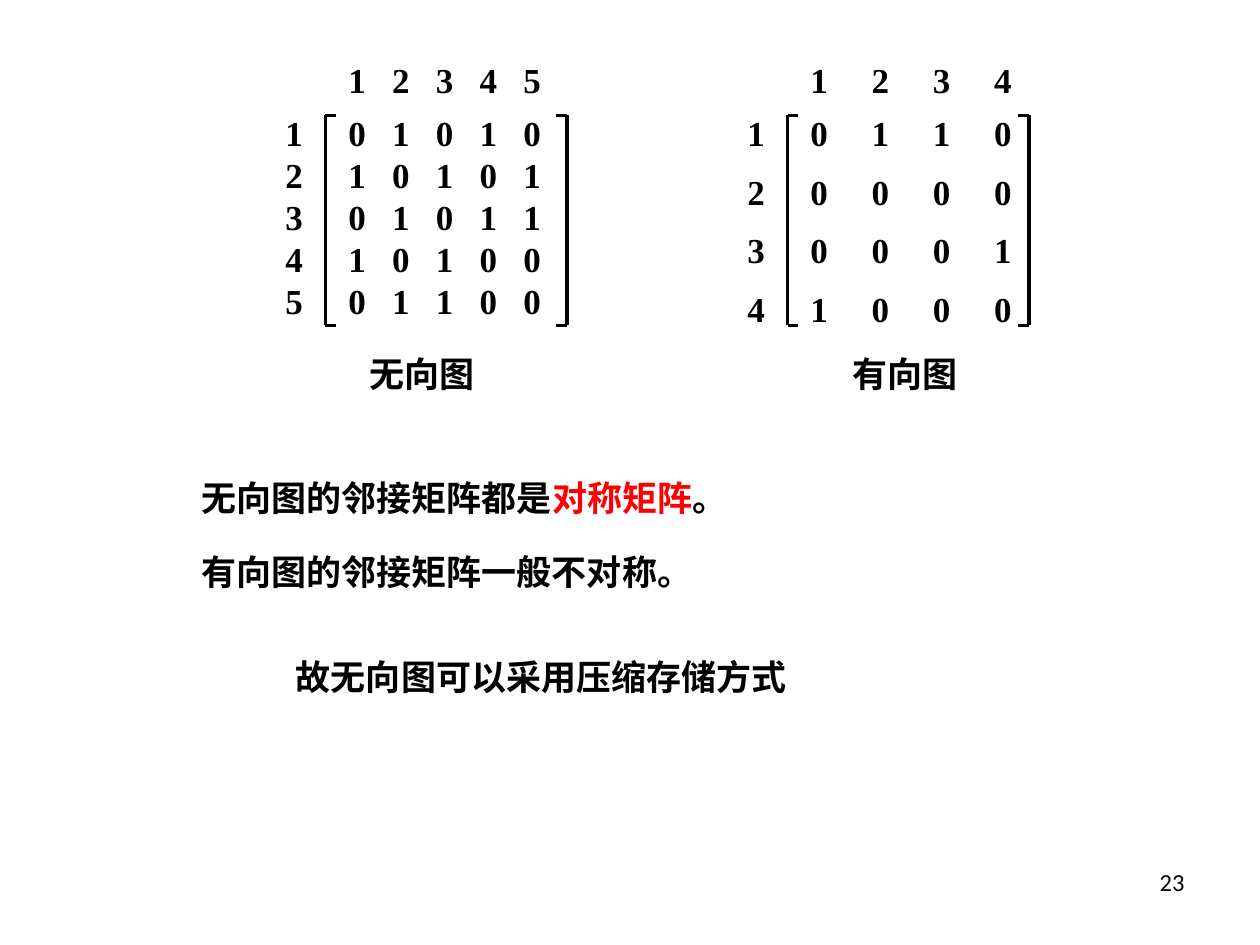
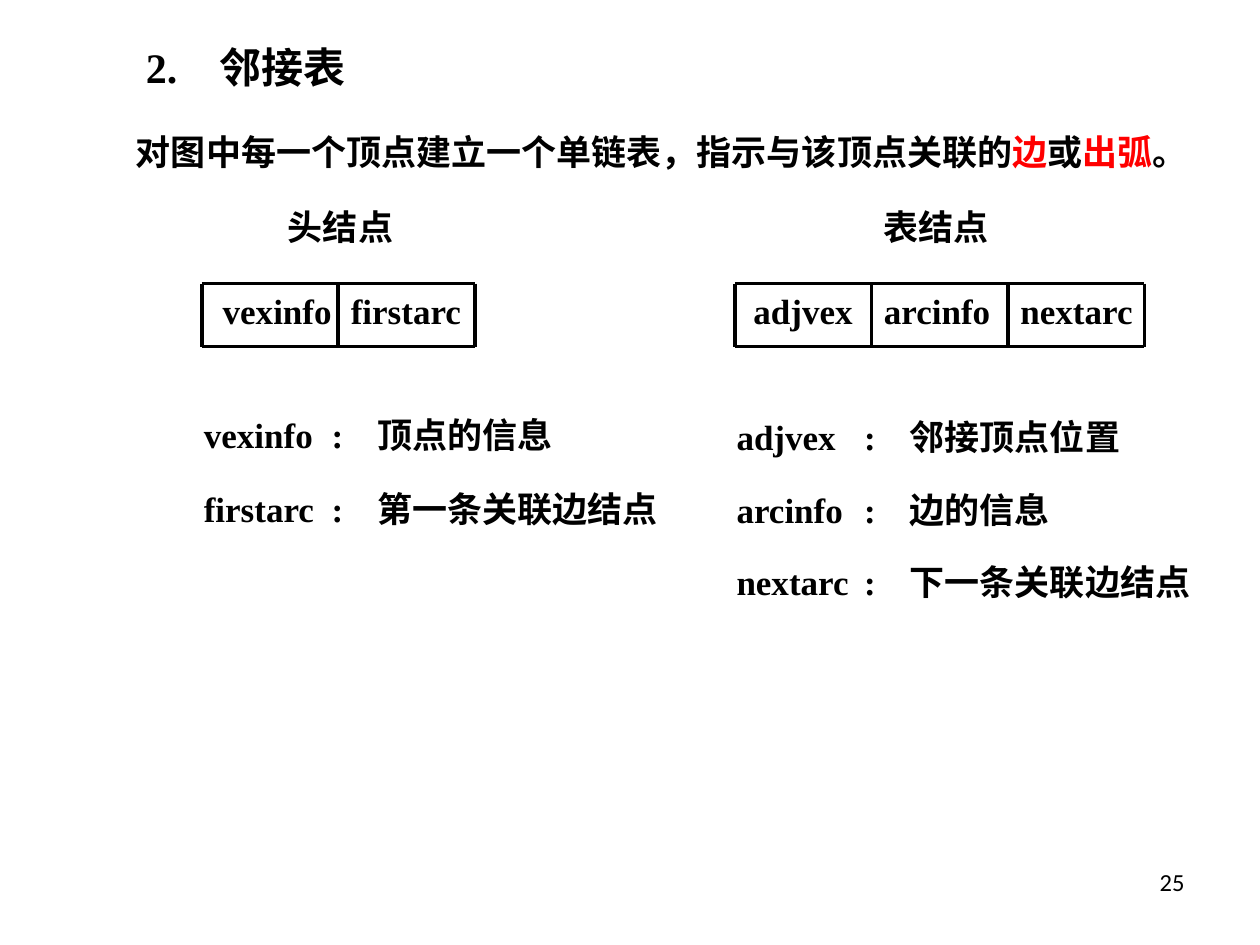
from dataclasses import dataclass
from typing import Any, Sequence

from lxml import etree
from pptx import Presentation
from pptx.dml.color import RGBColor
from pptx.enum import text as t
from pptx.oxml import ns
from pptx.util import Pt


@dataclass(frozen=True)
class Theme:
    ink: RGBColor = RGBColor(0, 0, 0)
    accent: RGBColor = RGBColor(255, 0, 0)
    body_font: str = "Times New Roman"
    number_font: str = "Calibri"
    title_size: float = 24
    body_size: float = 20
    number_size: float = 14
    line_width: float = 2.25
    box_height: float = 31.5


THEME = Theme()
BODY = {"name": THEME.body_font, "size": Pt(THEME.body_size), "bold": True}
TITLE = {**BODY, "size": Pt(THEME.title_size)}
NUMBER = {"name": THEME.number_font, "size": Pt(THEME.number_size), "bold": False}


@dataclass(frozen=True)
class Segment:
    text: str
    color: RGBColor = THEME.ink


@dataclass(frozen=True)
class Matrix:
    left: float
    row_pitch: float
    column_pitch: float
    rows: Sequence[str]
    caption: str
    caption_left: float


@dataclass(frozen=True)
class NodeRecord:
    left: float
    first_inset: float
    fields: Sequence[str]
    heading: str
    heading_left: float


@dataclass(frozen=True)
class Definitions:
    left: float
    top: float
    pitch: float
    width: float
    entries: Sequence[tuple[str, str]]


def add_text(shapes: Any, left: float, top: float, width: float,
             content: str | Sequence[Segment], style: dict[str, Any] = BODY,
             tabs: Sequence[float] = (), align: Any = t.PP_ALIGN.LEFT) -> None:
    box = shapes.add_textbox(Pt(left), Pt(top), Pt(width), Pt(THEME.box_height))
    box.text_frame.word_wrap = True
    box.text_frame.auto_size = t.MSO_AUTO_SIZE.SHAPE_TO_FIT_TEXT
    paragraph = box.text_frame.paragraphs[0]
    paragraph.alignment = align
    if tabs:
        properties = paragraph._p.get_or_add_pPr()
        tab_list = etree.SubElement(properties, ns.qn("a:tabLst"))
        for position in tabs:
            etree.SubElement(tab_list, ns.qn("a:tab"), pos=str(int(Pt(position))), algn="l")
    segments = [Segment(content)] if isinstance(content, str) else content
    for segment in segments:
        run = paragraph.add_run()
        run.text = segment.text
        for attribute, value in style.items():
            setattr(run.font, attribute, value)
        run.font.color.rgb = segment.color


def add_line(shapes: Any, x1: float, y1: float, x2: float, y2: float) -> None:
    line = shapes.add_connector(1, Pt(x1), Pt(y1), Pt(x2), Pt(y2))
    line.line.color.rgb = THEME.ink
    line.line.width = Pt(THEME.line_width)
    etree.SubElement(line._element.spPr, ns.qn("a:effectLst"))


def add_bracket(shapes: Any, x: float, tick: float) -> None:
    top, bottom = 66, 186
    add_line(shapes, x, top, x, bottom)
    for y in (top, bottom):
        add_line(shapes, x, y, x + tick, y)


def add_matrix(slide: Any, matrix: Matrix) -> None:
    shapes = slide.shapes.add_group_shape().shapes
    size = len(matrix.rows)
    tabs = [matrix.column_pitch * column for column in range(1, size)]
    header = "".join(str(number) for number in range(1, size + 1))
    lines = [(30, header)]
    for index, row in enumerate(matrix.rows):
        top = 60 + index * matrix.row_pitch
        lines.append((top, row))
        add_text(shapes, matrix.left, top, 26, str(index + 1))
    for top, digits in lines:
        add_text(shapes, matrix.left + 36, top, 198, "\t".join(digits), tabs=tabs)
    add_bracket(shapes, matrix.left + 30, 6)
    add_bracket(shapes, matrix.left + 168, -6)
    add_text(slide.shapes, matrix.caption_left, 198, 174, matrix.caption)


def add_record(slide: Any, record: NodeRecord) -> None:
    shapes = slide.shapes.add_group_shape().shapes
    cell_width, top, bottom = 78, 162, 198
    right = record.left + cell_width * len(record.fields)
    for y in (top, bottom):
        add_line(shapes, record.left, y, right, y)
    for index in range(len(record.fields) + 1):
        x = record.left + index * cell_width
        add_line(shapes, x, top, x, bottom)
    for index, field in enumerate(record.fields):
        inset = 0 if index else record.first_inset
        add_text(shapes, record.left + index * cell_width + inset, top, 114, field)
    add_text(slide.shapes, record.heading_left, 114, 108, record.heading)


def add_definitions(slide: Any, definitions: Definitions) -> None:
    for index, (field, meaning) in enumerate(definitions.entries):
        add_text(slide.shapes, definitions.left, definitions.top + index * definitions.pitch,
                 definitions.width, f"{field}\t:\t{meaning}", tabs=(73, 99))


def add_numbered_slide(presentation: Any, number: int) -> Any:
    slide = presentation.slides.add_slide(presentation.slide_layouts[6])
    add_text(slide.shapes, 516, 492, 168, str(number), NUMBER, align=t.PP_ALIGN.RIGHT)
    return slide


def build_matrix_slide(presentation: Any) -> None:
    slide = add_numbered_slide(presentation, 23)
    for matrix in (
        Matrix(156, 24, 25, ("01010", "10101", "01011", "10100", "01100"), "无向图", 204),
        Matrix(420, 33.6, 35, ("0110", "0000", "0001", "1000"), "有向图", 480),
    ):
        add_matrix(slide, matrix)
    add_text(slide.shapes, 108, 268.6, 492, [
        Segment("无向图的邻接矩阵都是"), Segment("对称矩阵", THEME.accent), Segment("。")])
    add_text(slide.shapes, 108, 311, 402, "有向图的邻接矩阵一般不对称。")
    add_text(slide.shapes, 162, 371, 444, "故无向图可以采用压缩存储方式")


def build_list_slide(presentation: Any) -> None:
    slide = add_numbered_slide(presentation, 25)
    add_text(slide.shapes, 76.3, 20.2, 336, "2.\t邻接表", TITLE, tabs=(42,))
    add_text(slide.shapes, 70.6, 71.3, 606, [
        Segment("对图中每一个顶点建立一个单链表，指示与该顶点关联的"),
        Segment("边", THEME.accent), Segment("或"),
        Segment("出弧", THEME.accent), Segment("。")])
    for record in (
        NodeRecord(115.4, 4.8, ("vexinfo", "firstarc"), "头结点", 157.5),
        NodeRecord(420, 3.5, ("adjvex", "arcinfo", "nextarc"), "表结点", 498),
    ):
        add_record(slide, record)
    for definitions in (
        Definitions(109.4, 232.6, 42.4, 281, (
            ("vexinfo", "顶点的信息"), ("firstarc", "第一条关联边结点"))),
        Definitions(413.8, 234, 41.4, 282, (
            ("adjvex", "邻接顶点位置"), ("arcinfo", "边的信息"),
            ("nextarc", "下一条关联边结点"))),
    ):
        add_definitions(slide, definitions)


def main() -> None:
    presentation = Presentation()
    presentation.slide_width = Pt(720)
    presentation.slide_height = Pt(540)
    build_matrix_slide(presentation)
    build_list_slide(presentation)
    presentation.save("out.pptx")


if __name__ == "__main__":
    main()
